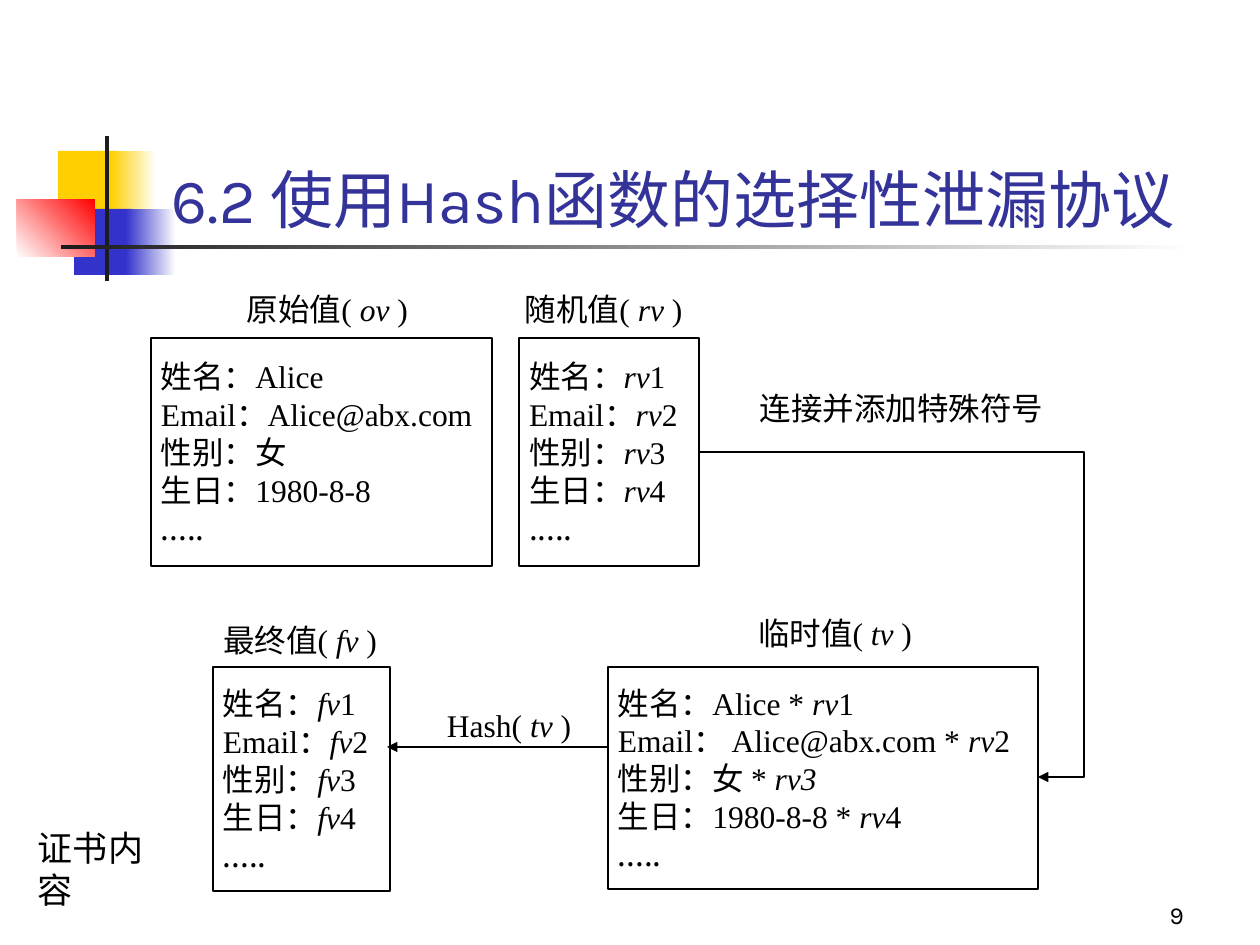
from dataclasses import dataclass
from typing import Optional

from lxml import etree
from pptx import Presentation
from pptx.dml.color import RGBColor
from pptx.enum.lang import MSO_LANGUAGE_ID
from pptx.enum.shapes import MSO_CONNECTOR, MSO_SHAPE
from pptx.enum.text import MSO_ANCHOR, PP_ALIGN
from pptx.oxml.ns import qn
from pptx.util import Emu, Pt

RECTANGLE = MSO_SHAPE.RECTANGLE
STRAIGHT, ELBOW = MSO_CONNECTOR.STRAIGHT, MSO_CONNECTOR.ELBOW
TOP, MIDDLE, BOTTOM = MSO_ANCHOR.TOP, MSO_ANCHOR.MIDDLE, MSO_ANCHOR.BOTTOM
LEFT, RIGHT = PP_ALIGN.LEFT, PP_ALIGN.RIGHT
CHINESE = MSO_LANGUAGE_ID.SIMPLIFIED_CHINESE

BLACK = RGBColor(0x00, 0x00, 0x00)
WHITE = RGBColor(0xFF, 0xFF, 0xFF)
CHARCOAL = RGBColor(0x1C, 0x1C, 0x1C)
YELLOW = RGBColor(0xFF, 0xCF, 0x01)
BLUE = RGBColor(0x33, 0x33, 0xCC)
RED = RGBColor(0xFF, 0x00, 0x00)
TITLE_BLUE = RGBColor(0x33, 0x33, 0x99)

SERIF, SANS, HEADING, CJK = "Times New Roman", "Arial", "Karla", "Noto Sans CJK SC"
PX_PER_INCH = 126
ELLIPSIS = "....."
FIELDS = ("姓名：", "Email：", "性别：", "生日：")


@dataclass(frozen=True)
class Box:
    left: int
    top: int
    width: int
    height: int


@dataclass(frozen=True)
class Ornament:
    box: Box
    start: RGBColor
    end: Optional[RGBColor] = None
    angle: int = 0


@dataclass(frozen=True)
class Label:
    """Underscores in the text switch italics on and off."""
    box: Box
    text: str
    font: str = SERIF
    size: int = 18
    color: RGBColor = BLACK
    anchor: MSO_ANCHOR = TOP
    align: PP_ALIGN = LEFT
    inset_x: int = 10
    inset_y: int = 5


@dataclass(frozen=True)
class Record:
    """A bordered list with one value for each certificate field."""
    box: Box
    values: tuple[str, ...]


@dataclass(frozen=True)
class Arrow:
    kind: MSO_CONNECTOR
    start: tuple[int, int]
    end: tuple[int, int]
    bend_x: Optional[int] = None
    has_head: bool = True


ORNAMENTS = (
    Ornament(Box(58, 151, 60, 66), YELLOW),
    Ornament(Box(111, 151, 45, 66), YELLOW, WHITE),
    Ornament(Box(74, 209, 58, 66), BLUE),
    Ornament(Box(126, 209, 50, 66), BLUE, WHITE),
    Ornament(Box(17, 199, 78, 58), WHITE, RED, 45),
    Ornament(Box(105, 136, 4, 145), CHARCOAL),
    Ornament(Box(61, 245, 1134, 4), CHARCOAL, WHITE),
)
RECORDS = (
    Record(Box(151, 338, 341, 228), ("Alice", "Alice@abx.com", "女", "1980-8-8")),
    Record(Box(519, 338, 180, 228), tuple(f"_rv_{n}" for n in range(1, 5))),
    Record(Box(608, 667, 430, 222), (
        "Alice * _rv_1", " Alice@abx.com * _rv_2", "女 * _rv3_", "1980-8-8 * _rv_4")),
    Record(Box(213, 667, 177, 224), tuple(f"_fv_{n}" for n in range(1, 5))),
)
LABELS = (
    Label(Box(935, 872, 262, 63), "9", HEADING, 14, anchor=BOTTOM, align=RIGHT,
          inset_x=13, inset_y=6),
    Label(Box(159, 84, 1074, 158), "6.2 使用Hash函数的选择性泄漏协议", HEADING, 36,
          TITLE_BLUE, BOTTOM, inset_x=13, inset_y=6),
    Label(Box(237, 285, 189, 60), "原始值( _ov _)"),
    Label(Box(515, 285, 186, 60), "随机值( _rv_ )"),
    Label(Box(750, 384, 305, 48), "连接并添加特殊符号", SANS),
    Label(Box(748, 609, 183, 52), "临时值( _tv _)"),
    Label(Box(213, 616, 183, 44), "最终值( _fv_ )"),
    Label(Box(437, 701, 154, 50), "Hash( _tv _)"),
    Label(Box(25, 820, 165, 55), "证书内容", HEADING, 20, inset_x=13, inset_y=6),
)
ARROWS = (
    Arrow(ELBOW, (699, 452), (1038, 777), bend_x=1084),
    Arrow(STRAIGHT, (608, 747), (387, 747)),
)


def px(value: int) -> Emu:
    return Emu(round(value * 914400 / PX_PER_INCH))


def place(box: Box) -> tuple[Emu, ...]:
    return tuple(px(value) for value in (box.left, box.top, box.width, box.height))


def apply(target, values: dict) -> None:
    for name, value in values.items():
        setattr(target, name, value)


def prepare_frame(shape, anchor: MSO_ANCHOR, inset_x: int, inset_y: int):
    frame = shape.text_frame
    apply(frame, {
        "word_wrap": False, "vertical_anchor": anchor,
        "margin_left": px(inset_x), "margin_right": px(inset_x),
        "margin_top": px(inset_y), "margin_bottom": px(inset_y),
    })
    return frame


def write(paragraph, text: str, font: str, size: int, color: RGBColor, align: PP_ALIGN) -> None:
    paragraph.alignment = align
    for index, part in enumerate(text.split("_")):
        if not part:
            continue
        run = paragraph.add_run()
        run.text = part
        apply(run.font, {"name": font, "size": Pt(size), "italic": index % 2 == 1,
                         "language_id": CHINESE})
        run.font.color.rgb = color
        latin = run.font._element.find(qn("a:latin"))
        east_asian = etree.Element(qn("a:ea"), typeface=CJK)
        latin.addnext(east_asian)


def draw_ornament(slide, ornament: Ornament) -> None:
    shape = slide.shapes.add_shape(RECTANGLE, *place(ornament.box))
    shape.shadow.inherit = False
    shape.line.fill.background()
    if ornament.end is None:
        shape.fill.solid()
        shape.fill.fore_color.rgb = ornament.start
        return
    shape.fill.gradient()
    shape.fill.gradient_angle = ornament.angle
    for stop, color in zip(shape.fill.gradient_stops, (ornament.start, ornament.end)):
        stop.color.rgb = color


def draw_record(slide, record: Record) -> None:
    shape = slide.shapes.add_shape(RECTANGLE, *place(record.box))
    shape.shadow.inherit = False
    shape.fill.solid()
    shape.fill.fore_color.rgb = WHITE
    shape.line.color.rgb = BLACK
    shape.line.width = Pt(0.75)
    frame = prepare_frame(shape, MIDDLE, 10, 5)
    paragraph = frame.paragraphs[0]
    for field, value in zip(FIELDS, record.values):
        write(paragraph, field + value, SERIF, 18, BLACK, LEFT)
        paragraph = frame.add_paragraph()
    write(paragraph, ELLIPSIS, CJK, 18, BLACK, LEFT)


def draw_label(slide, label: Label) -> None:
    shape = slide.shapes.add_textbox(*place(label.box))
    frame = prepare_frame(shape, label.anchor, label.inset_x, label.inset_y)
    write(frame.paragraphs[0], label.text, label.font, label.size, label.color, label.align)


def draw_arrow(slide, arrow: Arrow) -> None:
    ends = (px(value) for value in arrow.start + arrow.end)
    connector = slide.shapes.add_connector(arrow.kind, *ends)
    connector.line.color.rgb = BLACK
    connector.line.width = Pt(0.75)
    properties = connector._element.spPr
    if arrow.has_head:
        etree.SubElement(connector.line._get_or_add_ln(), qn("a:tailEnd"), type="triangle")
    etree.SubElement(properties, qn("a:effectLst"))
    if arrow.bend_x is not None:
        ratio = (arrow.bend_x - arrow.start[0]) / (arrow.end[0] - arrow.start[0])
        adjustments = properties.find(qn("a:prstGeom")).find(qn("a:avLst"))
        etree.SubElement(adjustments, qn("a:gd"), name="adj1", fmla=f"val {round(ratio * 100000)}")


def main() -> None:
    presentation = Presentation()
    apply(presentation, {"slide_width": px(1260), "slide_height": px(945)})
    slide = presentation.slides.add_slide(presentation.slide_layouts[6])
    for draw, items in ((draw_ornament, ORNAMENTS), (draw_record, RECORDS),
                        (draw_arrow, ARROWS), (draw_label, LABELS)):
        for item in items:
            draw(slide, item)
    presentation.save("out.pptx")


if __name__ == "__main__":
    main()
